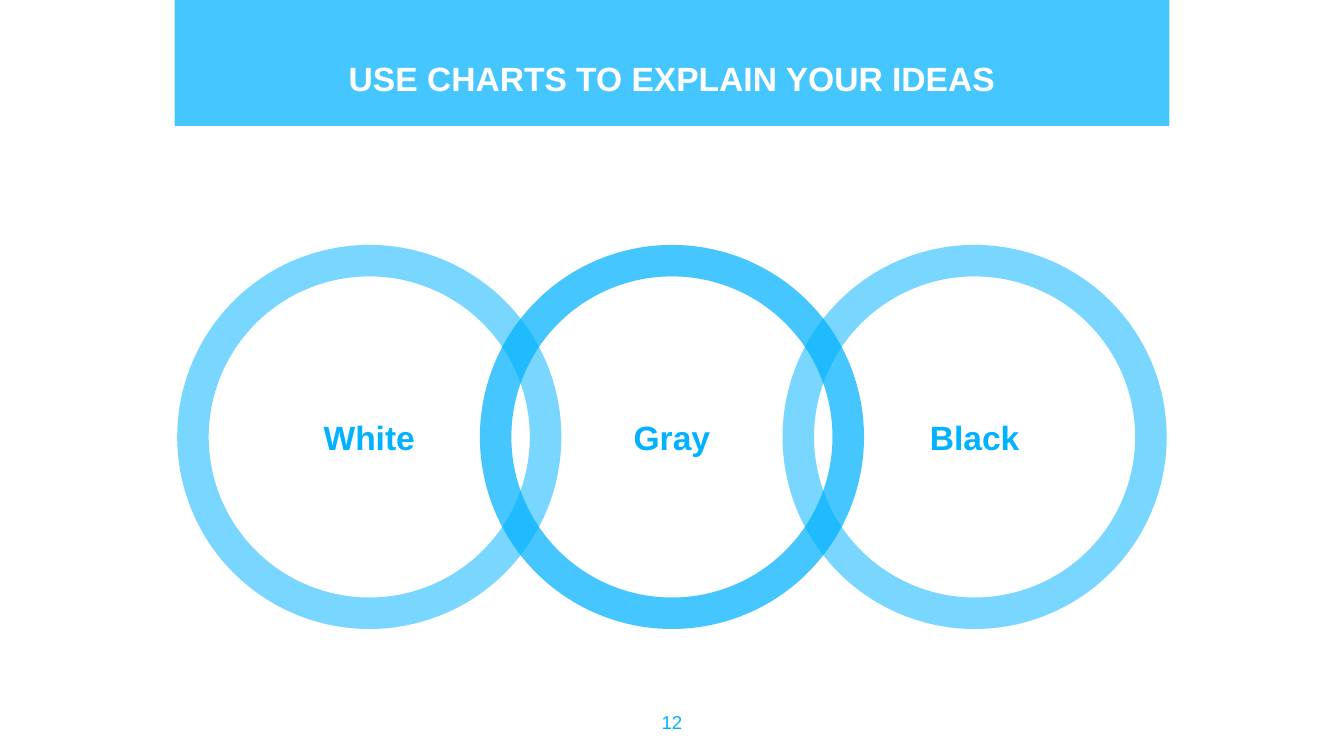
from lxml import etree
from pptx import Presentation
from pptx import util as u
from pptx.dml.color import RGBColor
from pptx.enum import shapes, text
from pptx.oxml import ns

THEME = {
    "font": "Arial",
    "blue": RGBColor(0x00, 0xB2, 0xFF),
    "white": RGBColor(0xFF, 0xFF, 0xFF),
    "strong": 73,  # opacity in percent
    "soft": 53,
    "heading": 18,
    "number": 10,
}


def write(sp, content, size=THEME["heading"], color=THEME["blue"], bold=True,
          anchor=text.MSO_ANCHOR.MIDDLE):
    tf = sp.text_frame
    tf.word_wrap = True
    tf.auto_size = text.MSO_AUTO_SIZE.NONE
    tf.vertical_anchor = anchor
    tf.margin_left = tf.margin_right = tf.margin_top = tf.margin_bottom = u.Cm(0.25)
    p = tf.paragraphs[0]
    p.alignment = text.PP_ALIGN.CENTER
    r = p.add_run()
    r.text = content
    r.font.name, r.font.size, r.font.bold = THEME["font"], u.Pt(size), bold
    r.font.color.rgb = color


def add_tinted(s, kind, left, top, width, height, opacity):
    sp = s.shapes.add_shape(kind, u.Cm(left), u.Cm(top), u.Cm(width), u.Cm(height))
    sp.shadow.inherit = False
    sp.line.fill.background()
    sp.fill.solid()
    sp.fill.fore_color.rgb = THEME["blue"]
    color = sp._element.spPr.find(ns.qn("a:solidFill"))[0]
    etree.SubElement(color, ns.qn("a:alpha"), val=str(opacity * 1000))
    return sp


prs = Presentation()
prs.slide_width, prs.slide_height = u.Cm(25.4), u.Cm(14.29)
s = prs.slides.add_slide(prs.slide_layouts[5])

# Header band, placed behind the title
band = add_tinted(s, shapes.MSO_SHAPE.RECTANGLE, 3.3, 0, 18.8, 2.38, THEME["strong"])
s.shapes._spTree.insert(2, band._element)

# Title
title = s.shapes.title
title.left, title.top, title.width, title.height = u.Cm(3.3), u.Cm(0.84), u.Cm(18.8), u.Cm(1.4)
write(title, "USE CHARTS TO EXPLAIN YOUR IDEAS", color=THEME["white"],
      anchor=text.MSO_ANCHOR.TOP)

# Interlocking rings, the middle one at the back
diameter, step = 7.26, 5.72
middle_left = (25.4 - diameter) / 2
for label, offset, opacity in [("Gray", 0, THEME["strong"]),
                               ("Black", 1, THEME["soft"]),
                               ("White", -1, THEME["soft"])]:
    ring = add_tinted(s, shapes.MSO_SHAPE.DONUT, middle_left + offset * step, 4.63,
                      diameter, diameter, opacity)
    ring.adjustments[0] = 0.082
    write(ring, label)

# Slide number
number = s.shapes.add_textbox(u.Cm(11.94), u.Cm(13.18), u.Cm(1.52), u.Cm(1.1))
write(number, "12", size=THEME["number"], bold=False, anchor=text.MSO_ANCHOR.TOP)

prs.save("out.pptx")
